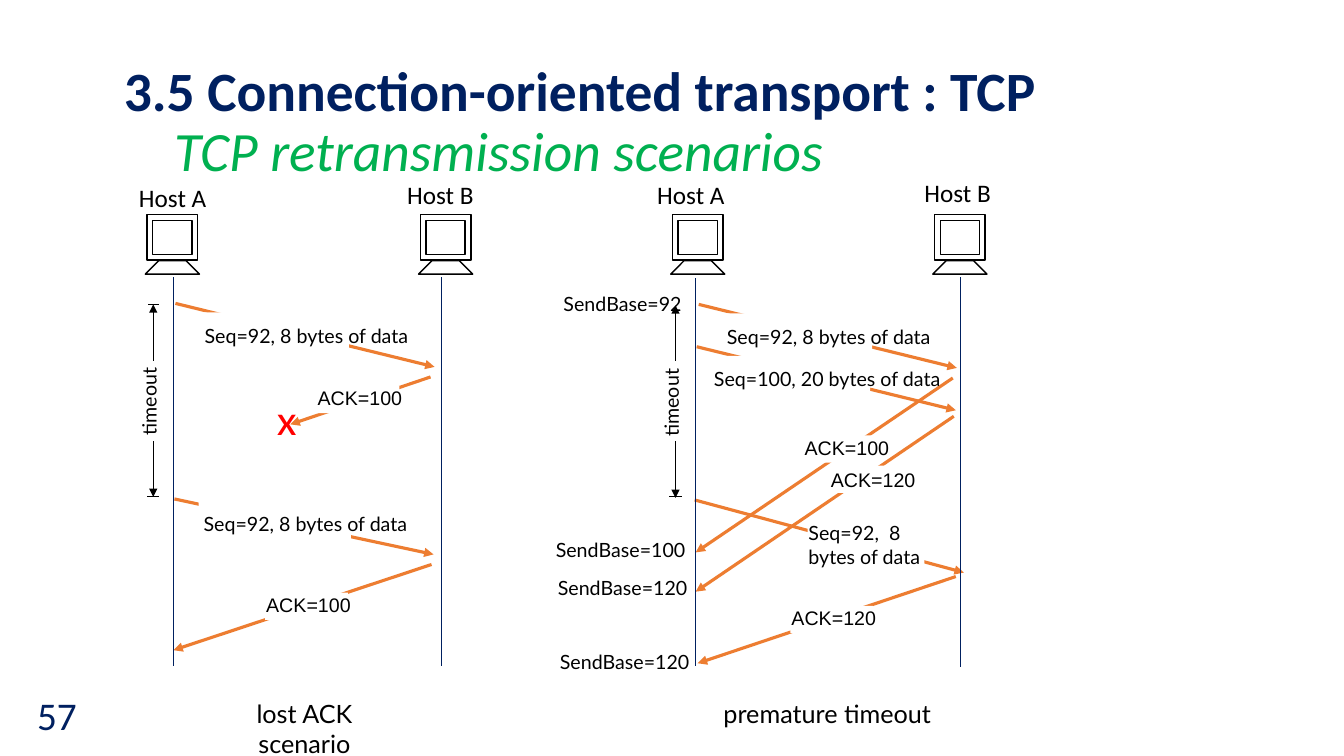
from dataclasses import dataclass

from lxml import etree
from pptx import Presentation
from pptx.dml.color import RGBColor
from pptx.enum.shapes import MSO_CONNECTOR, MSO_SHAPE
from pptx.enum.text import MSO_ANCHOR, MSO_AUTO_SIZE, PP_ALIGN
from pptx.oxml.ns import qn
from pptx.util import Pt

PX = 9144  # 100 px to the inch
LEFT, CENTER, RIGHT = PP_ALIGN.LEFT, PP_ALIGN.CENTER, PP_ALIGN.RIGHT
MIDDLE = MSO_ANCHOR.MIDDLE
FIT_SHAPE = MSO_AUTO_SIZE.SHAPE_TO_FIT_TEXT
STRAIGHT = MSO_CONNECTOR.STRAIGHT
RECT, FRAME, STRIPE = MSO_SHAPE.RECTANGLE, MSO_SHAPE.FRAME, MSO_SHAPE.DIAGONAL_STRIPE

BLACK, WHITE, NAVY = "000000", "FFFFFF", "002060"
ORANGE, GREEN, RED = "ED7D31", "00B050", "FF0000"
Box = tuple[int, int, int, int]


@dataclass(frozen=True)
class Label:
    text: str
    box: Box
    size: int = 14
    font: str = "Lato"
    color: str = BLACK
    align: PP_ALIGN = CENTER
    bold: bool = False
    wrap: bool = False
    vert: str = "horz"


@dataclass(frozen=True)
class Message:
    arrow: Box  # x1, y1, x2, y2
    gap: Box    # white patch behind the label
    label: Label


@dataclass(frozen=True)
class Host:
    name: str
    x: int
    name_x: int
    name_y: int
    life: Box


def ack(number: int, arrow: Box, x: int, y: int, dy: int = 5) -> Message:
    """Acknowledgement whose white patch starts at x, y."""
    label = Label(f"ACK={number}", (x - 9, y - dy, 104, 33), font="Arial")
    return Message(arrow, (x, y, 82, 27), label)


SEQ_92 = "Seq=92, 8 bytes of data"
MESSAGES = [
    Message((173, 495, 430, 550), (197, 494, 151, 47),
            Label(SEQ_92, (189, 503, 228, 33))),
    Message((174, 301, 431, 364), (200, 310, 146, 44),
            Label(SEQ_92, (190, 316, 228, 33))),
    ack(100, (427, 374, 288, 421), 314, 383),
    ack(100, (428, 560, 172, 645), 263, 588),
    Message((689, 496, 956, 568), (801, 508, 116, 56),
            Label("Seq=92,  8\nbytes of data", (792, 512, 133, 57), align=LEFT)),
    Message((693, 302, 949, 365), (716, 311, 149, 44),
            Label(SEQ_92, (708, 317, 228, 33))),
    ack(100, (945, 375, 690, 548), 797, 432, 4),
    Message((691, 344, 948, 407), (707, 353, 156, 44),
            Label("Seq=100, 20 bytes of data", (696, 359, 249, 33))),
    ack(120, (946, 413, 690, 587), 823, 462, 3),
    ack(120, (948, 572, 692, 658), 784, 601),
]
HOSTS = [
    Host("Host A", 146, 128, 176, (172, 275, 172, 661)),
    Host("Host B", 417, 394, 173, (438, 275, 438, 661)),
    Host("Host A", 667, 642, 173, (690, 276, 690, 661)),
    Host("Host B", 927, 907, 171, (953, 275, 953, 662)),
]
TIMEOUT_ARROWS = [(152, 358, 152, 302), (152, 438, 152, 493),
                  (670, 358, 670, 303), (670, 438, 670, 494)]
TIMEOUT_ENDS = [(147, 302, 158, 302), (146, 493, 158, 493), (664, 493, 676, 493)]
LABELS = [
    Label("X", (265, 399, 39, 43), 20, color=RED, bold=True),
    Label("timeout", (131, 361, 43, 75), vert="vert270"),
    Label("timeout", (649, 362, 43, 75), vert="vert270"),
    Label("SendBase=92", (548, 285, 139, 33)),
    Label("SendBase=100", (541, 529, 149, 33)),
    Label("SendBase=120", (543, 566, 149, 33)),
    Label("SendBase=120", (545, 640, 149, 33)),
    Label("lost ACK scenario", (202, 688, 200, 40), 18, wrap=True),
    Label("premature timeout", (707, 688, 227, 40), 18),
]


def emu(box: Box) -> list[int]:
    return [v * PX for v in box]


def rgb(color: str) -> RGBColor:
    return RGBColor.from_string(color)


def add_run(p, text: str, size: float, font: str, color: str,
            bold: bool = False, italic: bool = False) -> None:
    r = p.add_run()
    r.text = text
    f = r.font
    f.size, f.name, f.bold, f.italic = Pt(size), font, bold, italic
    f.color.rgb = rgb(color)


def add_label(s, label: Label) -> None:
    tf = s.shapes.add_textbox(*emu(label.box)).text_frame
    tf.word_wrap = label.wrap
    tf.auto_size = FIT_SHAPE
    if label.vert != "horz":
        tf._txBody.bodyPr.set("vert", label.vert)
    for i, line in enumerate(label.text.split("\n")):
        p = tf.add_paragraph() if i else tf.paragraphs[0]
        p.alignment = label.align
        add_run(p, line, label.size, label.font, label.color, label.bold)


def add_line(s, ends: Box, color: str, width: float, arrow: bool = False) -> None:
    line = s.shapes.add_connector(STRAIGHT, *emu(ends))
    line.line.color.rgb = rgb(color)
    line.line.width = Pt(width)
    if arrow:
        etree.SubElement(line.line._get_or_add_ln(), qn("a:tailEnd"), type="triangle")
    etree.SubElement(line._element.spPr, qn("a:effectLst"))


def add_white_shape(shapes, kind: MSO_SHAPE, box: Box, outlined: bool = False):
    sp = shapes.add_shape(kind, *emu(box))
    sp.shadow.inherit = False
    sp.fill.solid()
    sp.fill.fore_color.rgb = rgb(WHITE)
    if outlined:
        sp.line.color.rgb = rgb(BLACK)
        sp.line.width = Pt(1)
    else:
        sp.line.fill.background()
    return sp


def add_host(s, host: Host) -> None:
    computer = s.shapes.add_group_shape().shapes
    add_white_shape(computer, FRAME, (host.x, 213, 50, 45), True)
    add_white_shape(computer, STRIPE, (host.x + 6, 253, 38, 38), True).rotation = 45
    add_line(s, host.life, NAVY, 0.75)
    add_label(s, Label(host.name, (host.name_x, host.name_y, 88, 40), 18, "Calibri", align=LEFT))


def add_message(s, message: Message) -> None:
    add_line(s, message.arrow, ORANGE, 2.25, True)
    add_white_shape(s.shapes, RECT, message.gap)
    add_label(s, message.label)


def add_heading(s, box: Box):
    """Add a wrapping, middle-anchored box and return its paragraph."""
    tf = s.shapes.add_textbox(*emu(box)).text_frame
    tf.word_wrap = True
    tf.vertical_anchor = MIDDLE
    return tf.paragraphs[0]


def main() -> None:
    prs = Presentation()
    prs.slide_width, prs.slide_height = 1333 * PX, 750 * PX
    s = prs.slides.add_slide(prs.slide_layouts[6])

    p = add_heading(s, (113, 61, 1146, 123))
    p.line_spacing = 0.9
    add_run(p, "3.5 Connection-oriented transport : TCP", 39.6, "Calibri", NAVY, bold=True)
    p.add_line_break()
    add_run(p, "\tTCP retransmission scenarios", 39.6, "Calibri", GREEN, italic=True)

    p = add_heading(s, (0, 669, 86, 81))
    p.alignment = RIGHT
    add_run(p, "57", 28, "Calibri", NAVY)

    for message in MESSAGES:
        add_message(s, message)
    for host in HOSTS:
        add_host(s, host)
    for ends in TIMEOUT_ARROWS:
        add_line(s, ends, BLACK, 0.75, True)
    for ends in TIMEOUT_ENDS:
        add_line(s, ends, BLACK, 0.75)
    for label in LABELS:
        add_label(s, label)
    prs.save("out.pptx")


if __name__ == "__main__":
    main()
